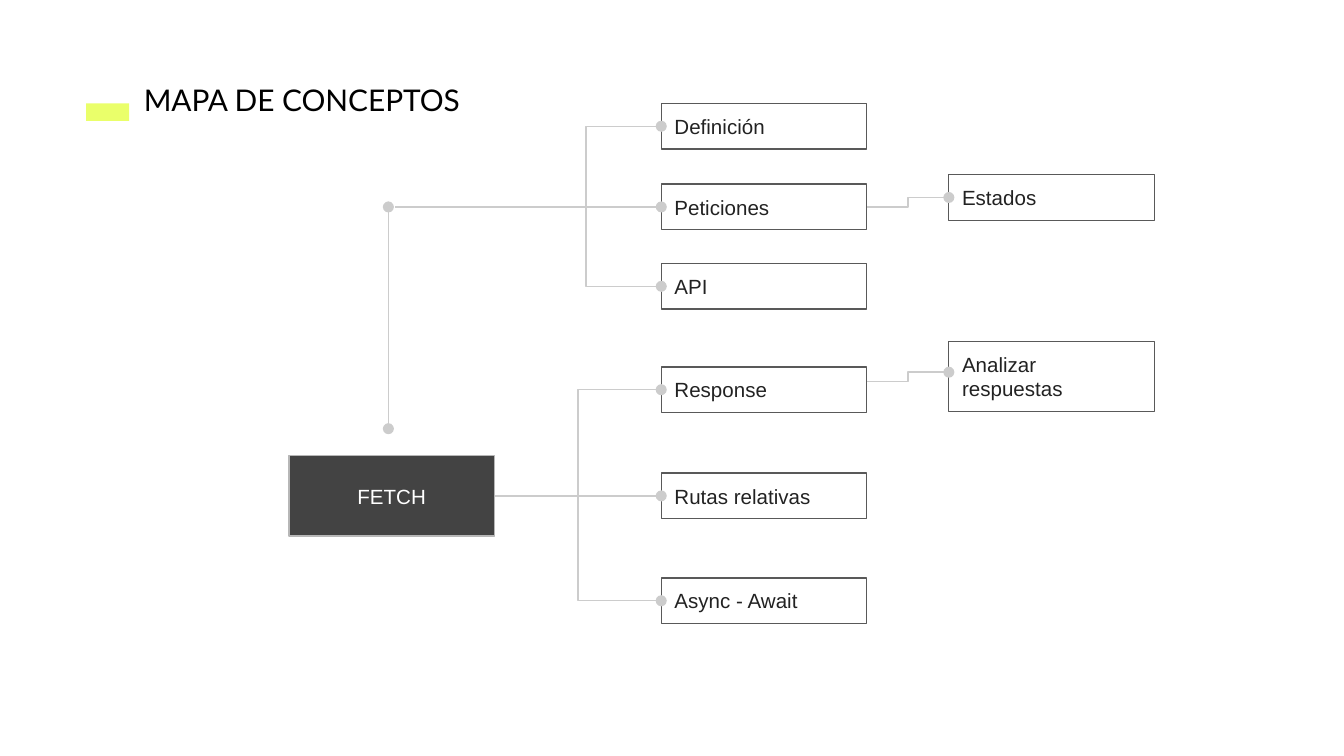
from pptx import Presentation
from pptx.dml.color import RGBColor
from pptx.enum.shapes import MSO_CONNECTOR, MSO_SHAPE
from pptx.enum.text import MSO_ANCHOR, PP_ALIGN
from pptx.oxml.ns import qn
from pptx.util import Inches, Pt
from lxml.etree import SubElement

INK = {"lime": "EAFF6A", "black": "000000", "text": "222222", "edge": "595959",
       "line": "CCCCCC", "dark": "434343", "rim": "B7B7B7", "white": "FFFFFF"}
TITLE = "MAPA DE CONCEPTOS"
ROOT = ("FETCH", 2.15, 3.39, 0.6)
TOPICS = [("Definición", 0.77), ("Peticiones", 1.37), ("API", 1.96),
          ("Response", 2.73), ("Rutas relativas", 3.52), ("Async - Await", 4.3)]
DETAILS = [("Estados", 1.3, 0.34, 1.54, 1.47),
           ("Analizar respuestas", 2.54, 0.52, 2.84, 2.77)]
WIDE, HIGH = 1.53, 0.34
MID, FAR = 4.92, 7.06
STEM, HUB, FORK = 2.89, 1.54, 3.8


def tint(name):
    return RGBColor.from_string(INK[name])


def write(shape, text, size=11, font="Arial", color="text",
          align=PP_ALIGN.LEFT, anchor=MSO_ANCHOR.MIDDLE):
    frame = shape.text_frame
    frame.word_wrap = True
    frame.vertical_anchor = anchor
    frame.margin_left = frame.margin_right = Inches(0.1)
    frame.margin_top = frame.margin_bottom = Inches(0.1)
    para = frame.paragraphs[0]
    para.alignment = align
    run = para.add_run()
    run.text = text
    run.font.size = Pt(size)
    run.font.name = font
    run.font.color.rgb = tint(color)


def box(left, top, wide, high, fill=None, line=None):
    shape = slide.shapes.add_shape(
        MSO_SHAPE.RECTANGLE, *map(Inches, (left, top, wide, high)))
    shape.shadow.inherit = False
    if fill:
        shape.fill.solid()
        shape.fill.fore_color.rgb = tint(fill)
    else:
        shape.fill.background()
    if line:
        shape.line.color.rgb = tint(line)
        shape.line.width = Pt(0.75)
    else:
        shape.line.fill.background()
    return shape


def link(start, end, kind=MSO_CONNECTOR.ELBOW, ends=("tailEnd",)):
    line = slide.shapes.add_connector(kind, *map(Inches, start + end))
    line.line.color.rgb = tint("line")
    line.line.width = Pt(0.75)
    for tag in ends:
        SubElement(line.line._get_or_add_ln(), qn("a:" + tag), type="oval")
    SubElement(line._element.spPr, qn("a:effectLst"))


deck = Presentation()
deck.slide_width = Inches(10)
deck.slide_height = deck.slide_width * 9 // 16
slide = deck.slides.add_slide(deck.slide_layouts[5])

title = slide.shapes.title
title.left, title.top, title.width, title.height = map(
    Inches, (0.97, 0.51, 2.69, 0.47))
write(title, TITLE, size=16, font="Lato", color="black", anchor=MSO_ANCHOR.TOP)
box(0.64, 0.77, 0.32, 0.13, fill="lime")

name, left, top, high = ROOT
write(box(left, top, WIDE, high, fill="dark", line="rim"), name,
      color="white", align=PP_ALIGN.CENTER)
root = (left + WIDE, top + high / 2)
link((STEM, 3.19), (STEM, HUB), MSO_CONNECTOR.STRAIGHT, ("headEnd", "tailEnd"))

starts = [(FORK, HUB), (STEM + 0.05, HUB), (FORK, HUB)] + [root] * 3
for (name, top), start in zip(TOPICS, starts):
    write(box(MID, top, WIDE, HIGH, line="edge"), name)
    link(start, (MID, top + HIGH / 2))

for name, top, high, out, into in DETAILS:
    write(box(FAR, top, WIDE, high, fill="white", line="edge"), name)
    link((MID + WIDE, out), (FAR, into))

deck.save("out.pptx")
